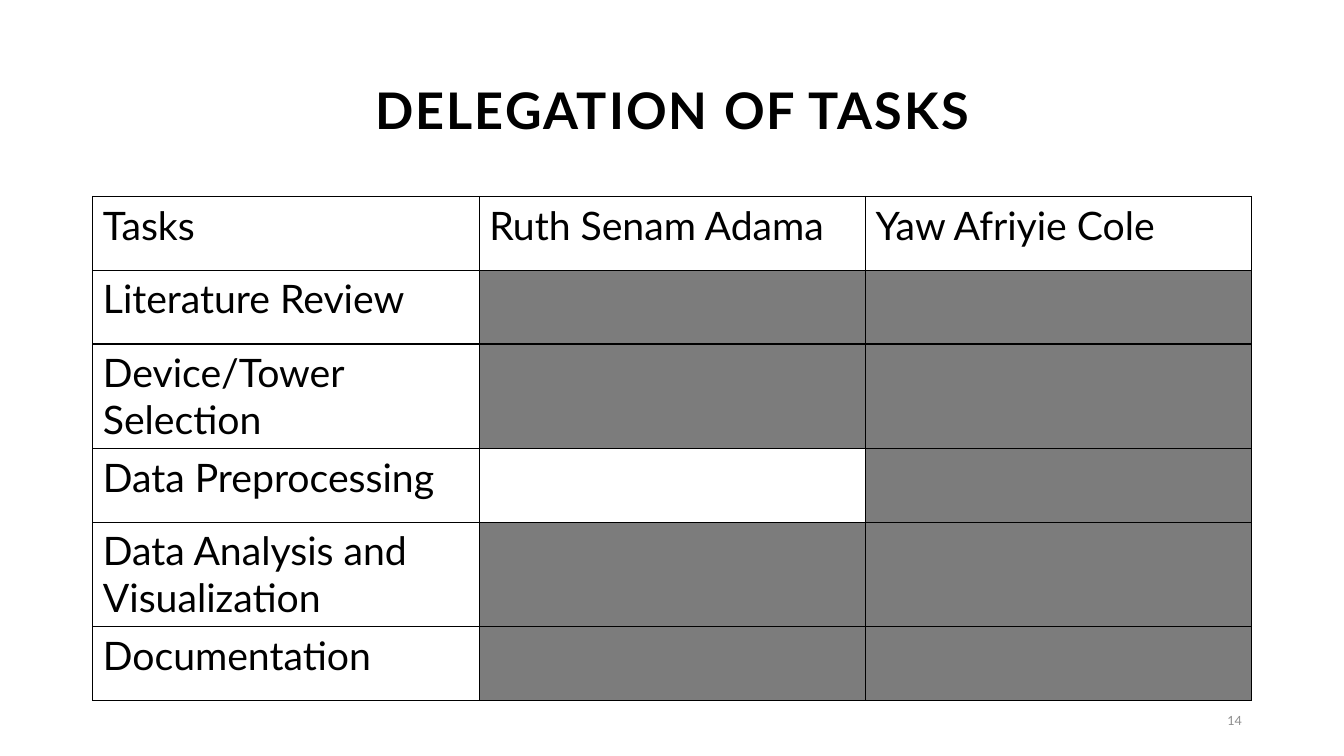
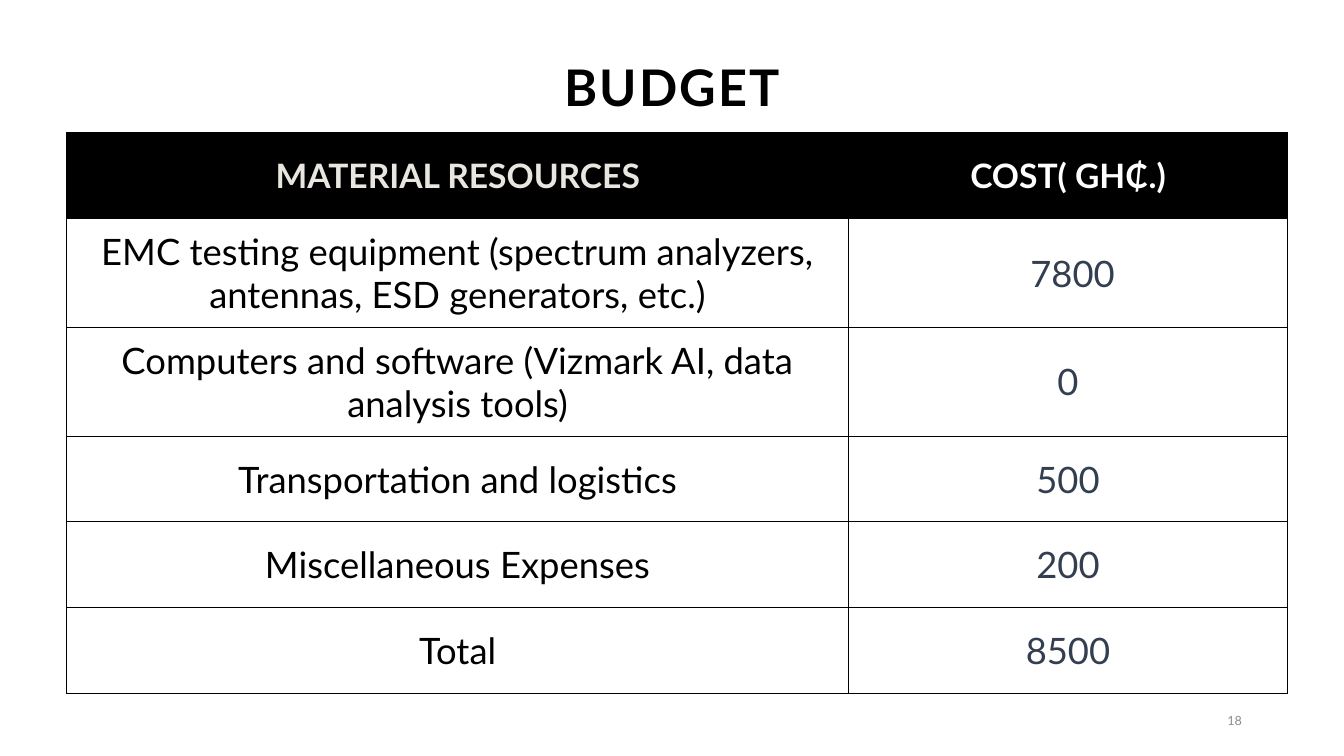
from lxml.etree import SubElement
from pptx import Presentation
from pptx.dml.color import RGBColor
from pptx.enum.text import MSO_ANCHOR, PP_ALIGN
from pptx.oxml.ns import qn
from pptx.util import Cm, Pt

FONT = "Lato"
BLACK, WHITE = "000000", "FFFFFF"
ASSIGNED = "7C7C7C"
HEADING = "E9E6DF"
AMOUNT = "333F50"
PAGE_NUMBER = "8C8C8C"
MARGIN, CONTENT_WIDTH = 2.34, 29.21

TEAM = ["Ruth Senam Adama", "Yaw Afriyie Cole"]
# Each task with whether each team member is assigned to it
TASKS = [
    ("Literature Review", (True, True)),
    ("Device/Tower Selection", (True, True)),
    ("Data Preprocessing", (False, True)),
    ("Data Analysis and Visualization", (True, True)),
    ("Documentation", (True, True)),
]
BUDGET = [
    ("EMC testing equipment (spectrum analyzers, antennas, ESD generators, etc.)", " 7800"),
    ("Computers and software (Vizmark AI, data analysis tools)", "0"),
    ("Transportation and logistics", "500"),
    ("Miscellaneous Expenses", "200"),
    ("Total", "8500"),
]


def rgb(value):
    return RGBColor.from_string(value)


def style_text(paragraph, size, color, bold=False, align=PP_ALIGN.LEFT):
    paragraph.alignment = align
    font = paragraph.font
    font.name, font.size, font.bold = FONT, Pt(size), bold
    font.color.rgb = rgb(color)


def add_text(slide, text, left, top, width, height, **style):
    frame = slide.shapes.add_textbox(Cm(left), Cm(top), Cm(width), Cm(height)).text_frame
    frame.word_wrap = True
    frame.vertical_anchor = MSO_ANCHOR.MIDDLE
    paragraph = frame.paragraphs[0]
    paragraph.text = text
    style_text(paragraph, **style)
    return paragraph


def add_content_slide(deck, title, title_height, number):
    """Blank slide with the shared title style and page number."""
    slide = deck.slides.add_slide(deck.slide_layouts[6])
    heading = add_text(slide, title, MARGIN, 1.02, CONTENT_WIDTH, title_height,
                       size=36, color=BLACK, bold=True, align=PP_ALIGN.CENTER)
    heading.line_spacing = 0.9
    heading.runs[0].font._element.set("spc", "150")
    add_text(slide, str(number), 23.93, 17.65, 7.62, 1.02,
             size=9, color=PAGE_NUMBER, align=PP_ALIGN.RIGHT)
    return slide


def add_grid(slide, left, top, column_widths, row_heights):
    """Plain table without a banded style."""
    table = slide.shapes.add_table(
        len(row_heights), len(column_widths), Cm(left), Cm(top),
        Cm(sum(column_widths)), Cm(sum(row_heights))).table
    table.first_row = table.horz_banding = False
    for column, width in zip(table.columns, column_widths):
        column.width = Cm(width)
    for row, height in zip(table.rows, row_heights):
        row.height = Cm(height)
    return table


def draw_borders(cell, color=BLACK, width=1):
    properties = cell._tc.get_or_add_tcPr()
    for index, side in enumerate(("lnL", "lnR", "lnT", "lnB")):
        line = SubElement(properties, qn(f"a:{side}"), w=str(Pt(width)))
        fill = SubElement(line, qn("a:solidFill"))
        SubElement(fill, qn("a:srgbClr"), val=color)
        properties.insert(index, line)


def fill_cell(cell, text="", fill=WHITE, anchor=MSO_ANCHOR.TOP, **style):
    cell.fill.solid()
    cell.fill.fore_color.rgb = rgb(fill)
    cell.vertical_anchor = anchor
    draw_borders(cell)
    if text:
        cell.text = text
        style_text(cell.text_frame.paragraphs[0], **style)


def add_delegation_slide(deck):
    slide = add_content_slide(deck, "DELEGATION OF TASKS", 3.68, 14)
    table = add_grid(slide, MARGIN, 4.95, [CONTENT_WIDTH / 3] * 3,
                     [1.86] * (len(TASKS) + 1))
    label = dict(size=28, color=BLACK)
    for column, heading in enumerate(["Tasks", *TEAM]):
        fill_cell(table.cell(0, column), heading, **label)
    for row, (task, assignments) in enumerate(TASKS, start=1):
        fill_cell(table.cell(row, 0), task, **label)
        for column, assigned in enumerate(assignments, start=1):
            fill_cell(table.cell(row, column), fill=ASSIGNED if assigned else WHITE)


def add_budget_slide(deck):
    slide = add_content_slide(deck, "BUDGET", 2.51, 18)
    single, double = 2.16, 2.74
    table = add_grid(slide, 1.68, 3.35, [19.71, 11.05],
                     [single, double, double, single, single, single])
    centred = dict(anchor=MSO_ANCHOR.MIDDLE, align=PP_ALIGN.CENTER)
    headings = [("MATERIAL RESOURCES", HEADING), ("COST( GH₵.)", WHITE)]
    for column, (heading, color) in enumerate(headings):
        fill_cell(table.cell(0, column), heading, fill=BLACK,
                  size=24, color=color, bold=True, **centred)
    for row, (resource, cost) in enumerate(BUDGET, start=1):
        fill_cell(table.cell(row, 0), resource, size=26, color=BLACK, **centred)
        fill_cell(table.cell(row, 1), cost, size=26, color=AMOUNT, **centred)


def main():
    deck = Presentation()
    deck.slide_width, deck.slide_height = Cm(33.87), Cm(19.05)
    add_delegation_slide(deck)
    add_budget_slide(deck)
    deck.save("out.pptx")


if __name__ == "__main__":
    main()
